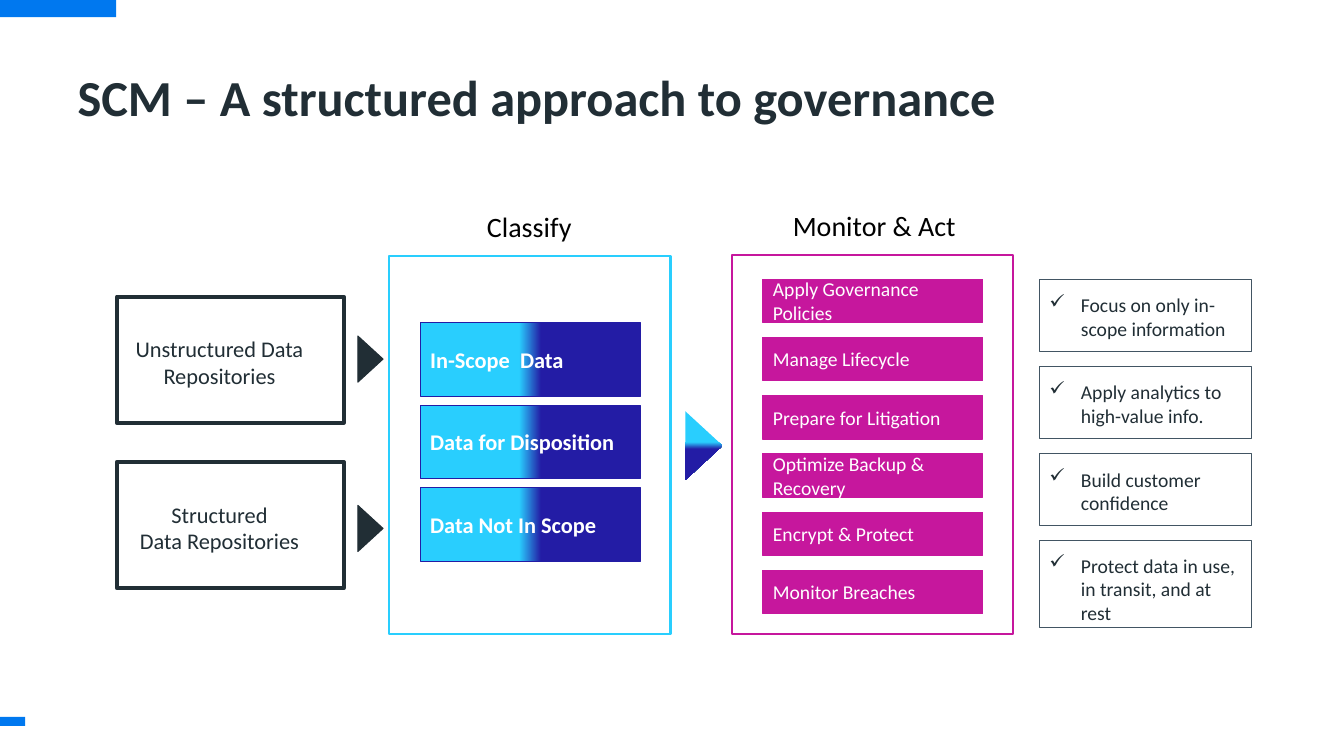
from typing import NamedTuple, Optional

from lxml import etree
from pptx import Presentation
from pptx.dml.color import RGBColor
from pptx.dml.fill import FillFormat
from pptx.enum.shapes import MSO_SHAPE as Preset
from pptx.enum.text import MSO_ANCHOR as Anchor, PP_ALIGN as Align
from pptx.oxml.ns import qn
from pptx.shapes.autoshape import Shape
from pptx.slide import Slide
from pptx.text.text import TextFrame
from pptx.util import Pt

WHITE = RGBColor(0xFF, 0xFF, 0xFF)
BLACK = RGBColor(0x00, 0x00, 0x00)
INK = RGBColor(0x21, 0x2E, 0x35)
SLATE = RGBColor(0x42, 0x55, 0x63)
ACCENT = RGBColor(0x00, 0x78, 0xEF)
MAGENTA = RGBColor(0xC6, 0x17, 0x9D)
CYAN = RGBColor(0x29, 0xCE, 0xFE)
INDIGO = RGBColor(0x23, 0x1C, 0xA5)

FONT = "Calibri"
CHECK_INDENT = 22.5
HORIZONTAL, DOWNWARD = 0, 270


class Area(NamedTuple):
    left: float
    top: float
    width: float
    height: float


class Insets(NamedTuple):
    left: float = 7.2
    top: float = 7.2
    right: float = 7.2
    bottom: float = 7.2


class TextStyle(NamedTuple):
    size: float
    color: RGBColor
    bold: bool = False
    align: Align = Align.LEFT
    line_spacing: float = 1.0
    anchor: Anchor = Anchor.MIDDLE
    insets: Insets = Insets()


class Look(NamedTuple):
    fill: Optional[RGBColor] = None
    line: Optional[RGBColor] = None
    line_width: float = 0.75


class Benefit(NamedTuple):
    text: str
    height: float
    bottom_inset: float


TITLE = TextStyle(36, INK, bold=True, line_spacing=0.8, anchor=Anchor.TOP)
HEADING = TextStyle(20, BLACK, align=Align.CENTER, line_spacing=0.9,
                    anchor=Anchor.TOP, insets=Insets(0, 0, 0, 0))
SOURCE = TextStyle(16, INK, align=Align.CENTER,
                   insets=Insets(right=22.5, bottom=3.6))
SCOPE = TextStyle(16, WHITE, bold=True)
ACTION = TextStyle(14, WHITE)
BENEFIT = TextStyle(14, INK)

SOURCES = ["Unstructured Data Repositories", "Structured\vData Repositories"]
SCOPES = ["In-Scope  Data", "Data for Disposition", "Data Not In Scope"]
ACTIONS = [
    "Apply Governance Policies",
    "Manage Lifecycle",
    "Prepare for Litigation",
    "Optimize Backup & Recovery",
    "Encrypt & Protect",
    "Monitor Breaches",
]
BENEFITS = [
    Benefit("Focus on only in-scope information", 51.5, 5),
    Benefit("Apply analytics to high-value info.", 51.5, 5),
    Benefit("Build customer confidence", 51.5, 5),
    Benefit("Protect data in use, in transit, and at rest", 62, 0),
]


def write(frame: TextFrame, text: str, style: TextStyle) -> None:
    frame.text = text
    frame.word_wrap = True
    frame.vertical_anchor = style.anchor
    frame.margin_left, frame.margin_top, frame.margin_right, frame.margin_bottom = (
        Pt(inset) for inset in style.insets)
    for paragraph in frame.paragraphs:
        paragraph.alignment = style.align
        paragraph.line_spacing = style.line_spacing
        for run in paragraph.runs:
            run.font.name = FONT
            run.font.size = Pt(style.size)
            run.font.bold = style.bold
            run.font.color.rgb = style.color


def add_label(slide: Slide, area: Area, text: str, style: TextStyle) -> None:
    label = slide.shapes.add_textbox(*map(Pt, area))
    write(label.text_frame, text, style)


def add_block(slide: Slide, area: Area, look: Look,
              preset: Preset = Preset.RECTANGLE) -> Shape:
    block = slide.shapes.add_shape(preset, *map(Pt, area))
    block.shadow.inherit = False
    if look.fill is None:
        block.fill.background()
    else:
        block.fill.solid()
        block.fill.fore_color.rgb = look.fill
    if look.line is None:
        block.line.fill.background()
    else:
        block.line.color.rgb = look.line
        block.line.width = Pt(look.line_width)
    return block


def add_arrow(slide: Slide, area: Area, look: Look) -> Shape:
    arrow = add_block(slide, area, look, Preset.RIGHT_ARROW)
    arrow.adjustments[0] = 0.64
    arrow.adjustments[1] = 1
    return arrow


def blend(fill: FillFormat, angle: float) -> None:
    """Fill with a sharp change from cyan to indigo around the middle."""
    fill.gradient()
    fill.gradient_angle = angle
    for stop, color, position in zip(fill.gradient_stops, (CYAN, INDIGO), (0.45, 0.55)):
        stop.color.rgb = color
        stop.position = position


def add_check_bullet(frame: TextFrame) -> None:
    properties = frame.paragraphs[0]._p.get_or_add_pPr()
    properties.set("marL", str(Pt(CHECK_INDENT)))
    properties.set("indent", str(-Pt(CHECK_INDENT)))
    etree.SubElement(properties, qn("a:buChar")).set("char", "✓")


def draw_sources(slide: Slide) -> None:
    for row, text in enumerate(SOURCES):
        box = add_block(slide, Area(83.5, 212 + 118 * row, 162, 90), Look(line=INK, line_width=3))
        write(box.text_frame, text, SOURCE)
        add_arrow(slide, Area(255.6, 240 + 121 * row, 18, 33), Look(INK, INK))


def draw_classify(slide: Slide) -> None:
    add_label(slide, Area(277.5, 152.5, 201, 29.5), "Classify", HEADING)
    add_block(slide, Area(278, 183, 201, 270), Look(line=CYAN, line_width=1.5))
    for row, text in enumerate(SCOPES):
        box = add_block(slide, Area(300.2, 230.4 + 59 * row, 157, 52.6), Look(line=INDIGO))
        blend(box.fill, HORIZONTAL)
        write(box.text_frame, text, SCOPE)
    arrow = add_arrow(slide, Area(489.6, 293.8, 26.6, 49), Look())
    blend(arrow.fill, DOWNWARD)


def draw_monitor(slide: Slide) -> None:
    add_label(slide, Area(523.5, 152, 202, 29.5), "Monitor & Act", HEADING)
    add_block(slide, Area(522.7, 182.2, 201, 270.7), Look(line=MAGENTA, line_width=1.5))
    for row, text in enumerate(ACTIONS):
        box = add_block(slide, Area(545, 199.4 + 41.6 * row, 157, 31), Look(MAGENTA, MAGENTA))
        write(box.text_frame, text, ACTION)


def draw_benefits(slide: Slide) -> None:
    for row, benefit in enumerate(BENEFITS):
        area = Area(742.5, 199.4 + 62.2 * row, 151.2, benefit.height)
        box = add_block(slide, area, Look(line=SLATE))
        insets = Insets(bottom=benefit.bottom_inset)
        write(box.text_frame, benefit.text, BENEFIT._replace(insets=insets))
        add_check_bullet(box.text_frame)


def main() -> None:
    deck = Presentation()
    deck.slide_width, deck.slide_height = Pt(960), Pt(540)
    slide = deck.slides.add_slide(deck.slide_layouts[6])
    add_block(slide, Area(0, 0, 83, 12.3), Look(ACCENT))
    add_block(slide, Area(0, 512, 18, 6.5), Look(ACCENT))
    add_label(slide, Area(48.3, 48.3, 861, 152.6),
              "SCM – A structured approach to governance", TITLE)
    draw_sources(slide)
    draw_classify(slide)
    draw_monitor(slide)
    draw_benefits(slide)
    deck.save("out.pptx")


if __name__ == "__main__":
    main()
